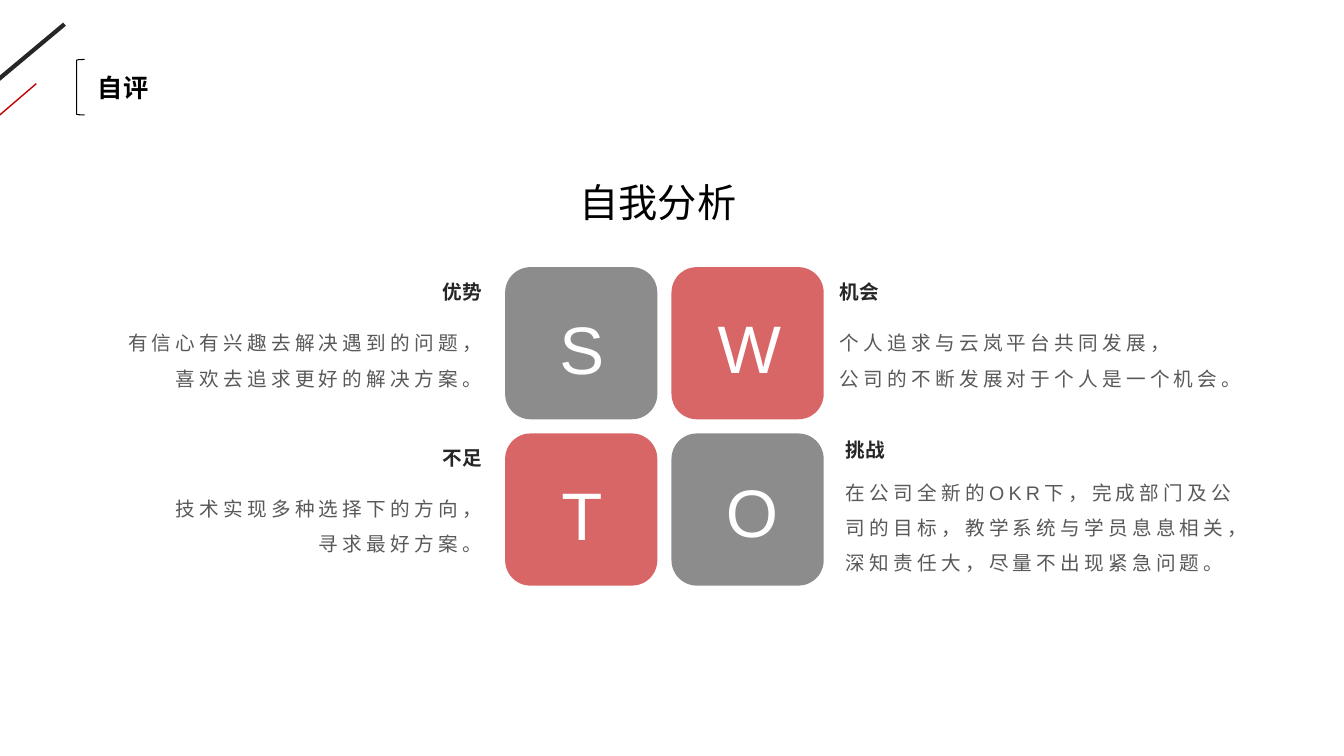
import pptx
import pptx.util
import pptx.dml.color
import pptx.enum.lang
import pptx.enum.shapes
import pptx.enum.text
import pptx.oxml
import pptx.oxml.ns

Inches = pptx.util.Inches
Pt = pptx.util.Pt
ALIGN = pptx.enum.text.PP_ALIGN
SHAPES = pptx.enum.shapes.MSO_SHAPE

COLORS = {"white": "FFFFFF", "black": "000000", "dark": "262626",
          "body": "595959", "gray": "404040", "red": "C00000"}

STYLES = {
    "letter": {"size": 48, "color": "white"},
    "heading": {"size": 14, "color": "dark", "bold": True},
    "body": {"size": 14, "color": "body", "tracking": 300, "line_spacing": 1.5},
    "section": {"size": 18, "color": "black", "bold": True},
    "subject": {"size": 28, "color": "black"},
}
TIGHT = (0.1, 0.05)
ROOMY = (0.24, 0.12)

TILE = 1.51
PITCH = 1.65
TILES = [
    ("S", "gray", 0.44, 0.35),
    ("W", "red", 0.36, 0.34),
    ("T", "red", 0.46, 0.35),
    ("O", "gray", 0.44, 0.32),
]

NOTES = [
    ("优势", ["有信心有兴趣去解决遇到的问题，", "喜欢去追求更好的解决方案。"],
     (0.66, 2.66, 4.36), 0.39, ALIGN.RIGHT),
    ("不足", ["技术实现多种选择下的方向，", "寻求最好方案。"],
     (0.66, 4.3, 4.36), 0.39, ALIGN.RIGHT),
    ("机会", ["个人追求与云岚平台共同发展，", "公司的不断发展对于个人是一个机会。"],
     (8.09, 2.66, 4.35), 0.39, ALIGN.LEFT),
    ("挑战", ["在公司全新的OKR下，完成部门及公司的目标，教学系统与学员息息相关，"
            "深知责任大，尽量不出现紧急问题。"],
     (8.15, 4.22, 4.35), 0.31, ALIGN.LEFT),
]


def rgb(name):
    return pptx.dml.color.RGBColor.from_string(COLORS[name])


def set_all(target, values):
    for name, value in values.items():
        setattr(target, name, value)


def write(shape, lines, style, align=ALIGN.LEFT, insets=TIGHT, wrap=True):
    look = STYLES[style]
    across, down = (Inches(inset) for inset in insets)
    frame = shape.text_frame
    frame.text = "\n".join(lines)
    set_all(frame, {
        "margin_left": across, "margin_right": across,
        "margin_top": down, "margin_bottom": down,
        "word_wrap": wrap,
        "auto_size": pptx.enum.text.MSO_AUTO_SIZE.NONE,
        "vertical_anchor": pptx.enum.text.MSO_ANCHOR.TOP,
    })
    for para in frame.paragraphs:
        set_all(para, {"alignment": align,
                       "line_spacing": look.get("line_spacing", 1.0)})
        for span in para.runs:
            set_all(span.font, {
                "name": "Arial", "size": Pt(look["size"]),
                "bold": look.get("bold", False),
                "language_id": pptx.enum.lang.MSO_LANGUAGE_ID.SIMPLIFIED_CHINESE,
            })
            span.font.color.rgb = rgb(look["color"])
            if "tracking" in look:
                span.font._element.set("spc", str(look["tracking"]))


def add_text(shapes, box, lines, style, **options):
    shape = shapes.add_textbox(*(Inches(length) for length in box))
    write(shape, lines, style, **options)


def add_stroke(page, start, end, color, width):
    stroke = page.shapes.add_connector(
        pptx.enum.shapes.MSO_CONNECTOR.STRAIGHT,
        *(Inches(length) for length in start + end))
    set_all(stroke.line, {"width": Pt(width)})
    stroke.line.color.rgb = rgb(color)
    stroke._element.spPr.append(pptx.oxml.parse_xml(
        "<a:effectLst %s/>" % pptx.oxml.ns.nsdecls("a")))


def add_header(page, left, top):
    add_stroke(page, (left + 0.64, top + 0.24), (left - 0.21, top + 0.95), "dark", 3)
    add_stroke(page, (left + 0.36, top + 0.83), (left - 0.06, top + 1.19), "red", 1)
    bracket = page.shapes.add_shape(
        SHAPES.LEFT_BRACKET, Inches(left + 0.76), Inches(top + 0.59),
        Inches(0.08), Inches(0.55))
    bracket.shadow.inherit = False
    bracket.fill.background()
    bracket.line.color.rgb = rgb("black")
    bracket.line.width = Pt(0.75)
    title = page.shapes.title
    set_all(title, {"left": Inches(left + 0.87), "top": Inches(top + 0.67),
                    "width": Inches(0.71), "height": Inches(0.4)})
    write(title, ["自评"], "section", wrap=False)


def add_tiles(page, left, top):
    group = page.shapes.add_group_shape()
    for index, (letter, color, across, down) in enumerate(TILES):
        row, column = divmod(index, 2)
        x, y = left + column * PITCH, top + row * PITCH
        tile = group.shapes.add_shape(
            SHAPES.ROUNDED_RECTANGLE, Inches(x), Inches(y),
            Inches(TILE), Inches(TILE))
        tile.shadow.inherit = False
        tile.line.fill.background()
        tile.fill.solid()
        tile.fill.fore_color.rgb = rgb(color)
        shade = tile._element.spPr.find(".//" + pptx.oxml.ns.qn("a:srgbClr"))
        shade.append(pptx.oxml.parse_xml(
            '<a:alpha %s val="60000"/>' % pptx.oxml.ns.nsdecls("a")))
        add_text(group.shapes, (x + across, y + down, 0.58, 0.91),
                 [letter], "letter")


def add_note(page, heading, lines, box, gap, align):
    left, top, width = box
    heading_left = left + width - 0.88 if align == ALIGN.RIGHT else left
    add_text(page.shapes, (heading_left, top, 0.88, 0.48), [heading],
             "heading", align=align, insets=ROOMY, wrap=False)
    height = 0.95 if len(lines) > 1 else 1.3
    add_text(page.shapes, (left, top + gap, width, height), lines,
             "body", align=align, insets=ROOMY)


def add_analysis_page(deck):
    page = deck.slides.add_slide(deck.slide_layouts[5])
    page.background.fill.solid()
    page.background.fill.fore_color.rgb = rgb("white")
    add_header(page, 0, 0)
    add_text(page.shapes, (5.65, 1.72, 1.95, 0.57), ["自我分析"], "subject")
    add_tiles(page, 5.01, 2.65)
    for note in NOTES:
        add_note(page, *note)


def main():
    deck = pptx.Presentation()
    set_all(deck, {"slide_width": Inches(13.33), "slide_height": Inches(7.5)})
    add_analysis_page(deck)
    deck.save("out.pptx")


if __name__ == "__main__":
    main()
